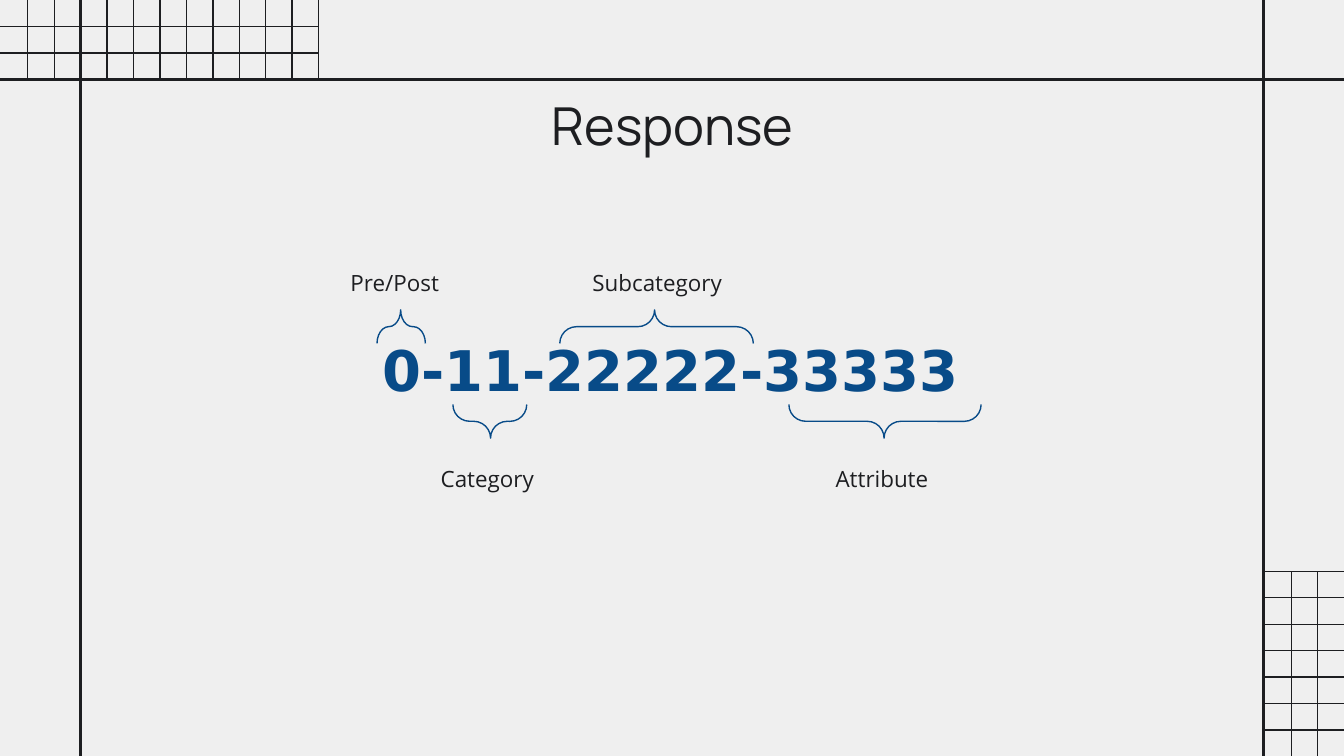
from lxml.etree import SubElement
from pptx import Presentation
from pptx.dml.color import RGBColor
from pptx.enum.shapes import MSO_CONNECTOR, MSO_SHAPE
from pptx.enum.text import MSO_ANCHOR, PP_ALIGN
from pptx.oxml.ns import qn
from pptx.util import Pt

COLORS = {"background": "EFEFEF", "ink": "1D1E21", "blue": "084B88"}
WIDTH, HEIGHT = 720, 405
GRID_STEP = 14.16
FRAME_LEFT, FRAME_RIGHT, FRAME_TOP = 43.2, 676.8, 42.5
BRACE_DEPTH = 18


def color(name):
    return RGBColor.from_string(COLORS[name])


def add_line(slide, x1, y1, x2, y2, weight=0.75):
    line = slide.shapes.add_connector(
        MSO_CONNECTOR.STRAIGHT, Pt(x1), Pt(y1), Pt(x2), Pt(y2))
    line.line.color.rgb = color("ink")
    line.line.width = Pt(weight)
    SubElement(line._element.spPr, qn("a:effectLst"))


def add_grid(slide, left, top, right, bottom, first_x, columns, first_y, rows):
    for row in range(rows):
        y = first_y + row * GRID_STEP
        add_line(slide, left, y, right, y)
    for column in range(columns):
        x = first_x + column * GRID_STEP
        add_line(slide, x, top, x, bottom)


def add_text(slide, text, left, top, width, height, font, size,
             ink="ink", bold=False, align=PP_ALIGN.LEFT):
    box = slide.shapes.add_textbox(Pt(left), Pt(top), Pt(width), Pt(height))
    frame = box.text_frame
    frame.word_wrap = True
    frame.vertical_anchor = MSO_ANCHOR.TOP
    frame.margin_left = frame.margin_right = Pt(7.2)
    frame.margin_top = frame.margin_bottom = Pt(7.2)
    paragraph = frame.paragraphs[0]
    paragraph.alignment = align
    run = paragraph.add_run()
    run.text = text
    run.font.name = font
    run.font.size = Pt(size)
    run.font.bold = bold
    run.font.color.rgb = color(ink)


def add_brace(slide, left, top, width, rotation, tip=0.49):
    """Place a turned brace by the box it covers on the slide."""
    center_x, center_y = left + width / 2, top + BRACE_DEPTH / 2
    brace = slide.shapes.add_shape(
        MSO_SHAPE.RIGHT_BRACE,
        Pt(center_x - BRACE_DEPTH / 2), Pt(center_y - width / 2),
        Pt(BRACE_DEPTH), Pt(width))
    brace.rotation = rotation
    brace.adjustments[0] = 0.5
    brace.adjustments[1] = tip
    brace.shadow.inherit = False
    brace.fill.background()
    brace.line.color.rgb = color("blue")
    brace.line.width = Pt(0.75)


def main():
    presentation = Presentation()
    presentation.slide_width, presentation.slide_height = Pt(WIDTH), Pt(HEIGHT)
    slide = presentation.slides.add_slide(presentation.slide_layouts[6])
    slide.background.fill.solid()
    slide.background.fill.fore_color.rgb = color("background")

    # Corner grids
    add_grid(slide, 0, 0, 170.7, FRAME_TOP, 14.9, 12, GRID_STEP, 2)
    add_grid(slide, FRAME_RIGHT, 306.1, WIDTH, HEIGHT, 691.8, 2, 306.1, 7)

    # Frame lines
    add_line(slide, 0, FRAME_TOP, WIDTH, FRAME_TOP, 1.5)
    for x in (FRAME_RIGHT, FRAME_LEFT):
        add_line(slide, x, 0, x, HEIGHT, 1.5)

    # Title and code
    add_text(slide, "Response", 56.9, 42.5, 663.8 - 56.9, 37.4, "Manrope", 28,
             align=PP_ALIGN.CENTER)
    add_text(slide, "0-11-22222-33333", 198, 172.8, 340.6, 41.8, "DejaVu Sans", 30,
             ink="blue", bold=True)

    # Braces: left, top, width, rotation, tip
    for brace in ((422.6, 216.7, 103, 90, 0.505),
                  (202, 166, 25.9, 270),
                  (299.9, 166, 103.7, 270),
                  (242.6, 216.7, 39.6, 90)):
        add_brace(slide, *brace)

    # Labels for the parts of the code
    for text, left, top, width in (("Pre/Post", 180.7, 136.8, 67),
                                   ("Category", 229, 241.9, 70.6),
                                   ("Subcategory", 310.3, 136.8, 84.5),
                                   ("Attribute", 440.6, 241.9, 67)):
        add_text(slide, text, left, top, width, 25.9, "Open Sans", 12)

    presentation.save("out.pptx")


if __name__ == "__main__":
    main()
